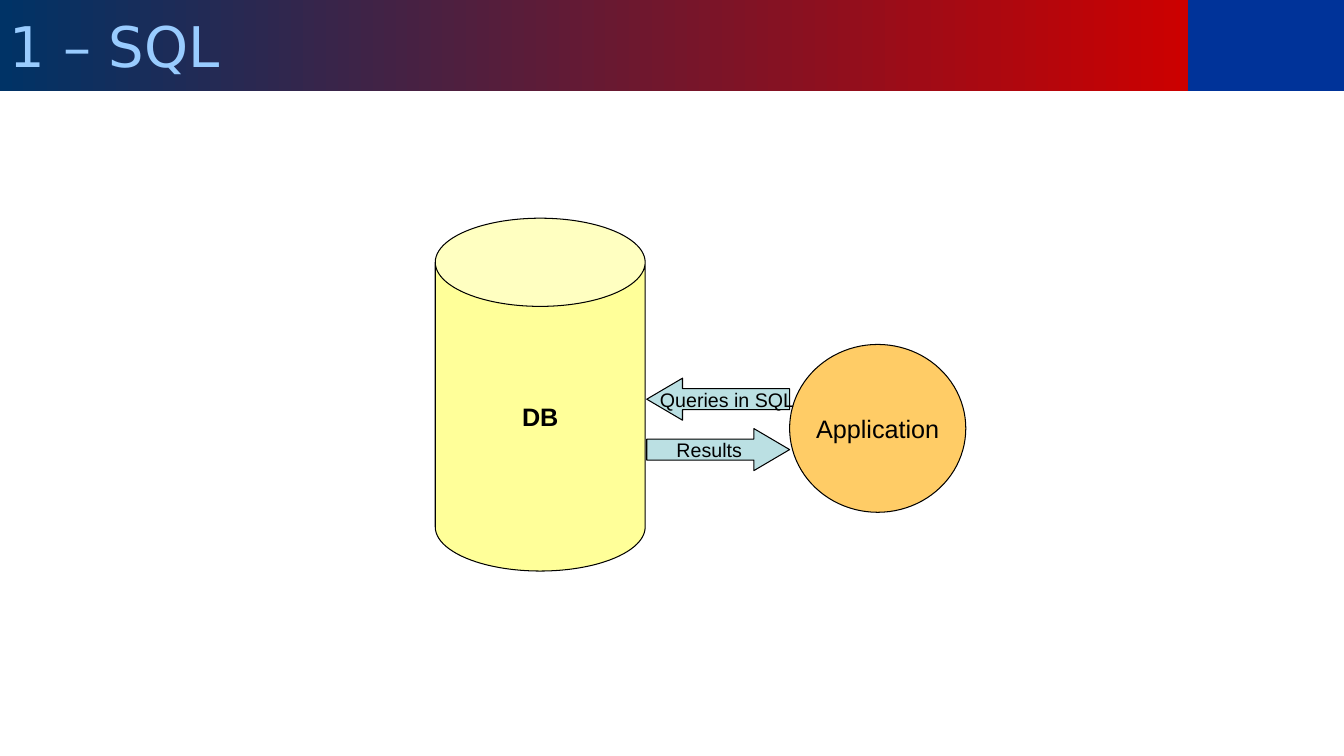
from pptx import Presentation
from pptx import util as u
from pptx.dml.color import RGBColor
from pptx.enum import shapes, text

BLACK = RGBColor(0x00, 0x00, 0x00)
BLUE = RGBColor(0x00, 0x33, 0x99)
NAVY = RGBColor(0x00, 0x33, 0x66)
RED = RGBColor(0xCC, 0x00, 0x00)
SKY = RGBColor(0x99, 0xCC, 0xFF)
YELLOW = RGBColor(0xFF, 0xFF, 0x99)
ORANGE = RGBColor(0xFF, 0xCC, 0x66)
TEAL = RGBColor(0xBB, 0xE0, 0xE3)
KIND = shapes.MSO_SHAPE

presentation = Presentation()
presentation.slide_width = u.Cm(33.87)
presentation.slide_height = u.Cm(19.05)
slide = presentation.slides.add_slide(presentation.slide_layouts[6])


def add_shape(kind, box, fill, adjustments=()):
    shape = slide.shapes.add_shape(kind, *[u.Cm(length) for length in box])
    shape.shadow.inherit = False
    shape.fill.solid()
    shape.fill.fore_color.rgb = fill
    shape.line.fill.background()
    for index, value in enumerate(adjustments):
        shape.adjustments[index] = value
    return shape


def write(shape, words, alignment, wrap, font_format):
    frame = shape.text_frame
    frame.word_wrap = wrap
    frame.vertical_anchor = text.MSO_ANCHOR.MIDDLE
    paragraph = frame.paragraphs[0]
    paragraph.alignment = alignment
    run = paragraph.add_run()
    run.text = words
    run.font.color.rgb = font_format["color"]
    for name in ("name", "size", "bold"):
        setattr(run.font, name, font_format[name])


# Header: title bar with gradient, then the blue corner
bar_width, bar_height = 29.93, 2.29
add_shape(KIND.RECTANGLE, (bar_width, 0, 33.87 - bar_width, bar_height), BLUE)
title = add_shape(KIND.RECTANGLE, (0, 0, bar_width, bar_height), NAVY)
title.fill.gradient()
title.fill.gradient_angle = 0
for stop, color, position in zip(title.fill.gradient_stops, (NAVY, RED), (0, 1)):
    stop.color.rgb = color
    stop.position = position
write(title, "1 – SQL", text.PP_ALIGN.LEFT, True,
      {"name": "DejaVu Sans", "size": u.Pt(40), "bold": False, "color": SKY})

# Diagram: database, application and the arrows between them
arrow_left, arrow_width, arrow_height = 16.3, 3.6, 1.06
arrow_shape = (0.5, 0.85)
parts = [
    ("DB", KIND.CAN, (10.97, 5.5, 5.29, 8.89), YELLOW, (0.42,), 18, True),
    ("Application", KIND.OVAL, (19.9, 8.68, 4.44, 4.23), ORANGE, (), 18, False),
    ("Results", KIND.RIGHT_ARROW, (arrow_left, 10.8, arrow_width, arrow_height),
     TEAL, arrow_shape, 14, False),
    ("Queries in SQL", KIND.LEFT_ARROW, (arrow_left, 9.53, arrow_width, arrow_height),
     TEAL, arrow_shape, 14, False),
]
for words, kind, box, fill, adjustments, size, bold in parts:
    shape = add_shape(kind, box, fill, adjustments)
    shape.line.color.rgb = BLACK
    shape.line.width = u.Pt(0.75)
    write(shape, words, text.PP_ALIGN.CENTER, False,
          {"name": "Arial", "size": u.Pt(size), "bold": bold, "color": BLACK})

presentation.save("out.pptx")
